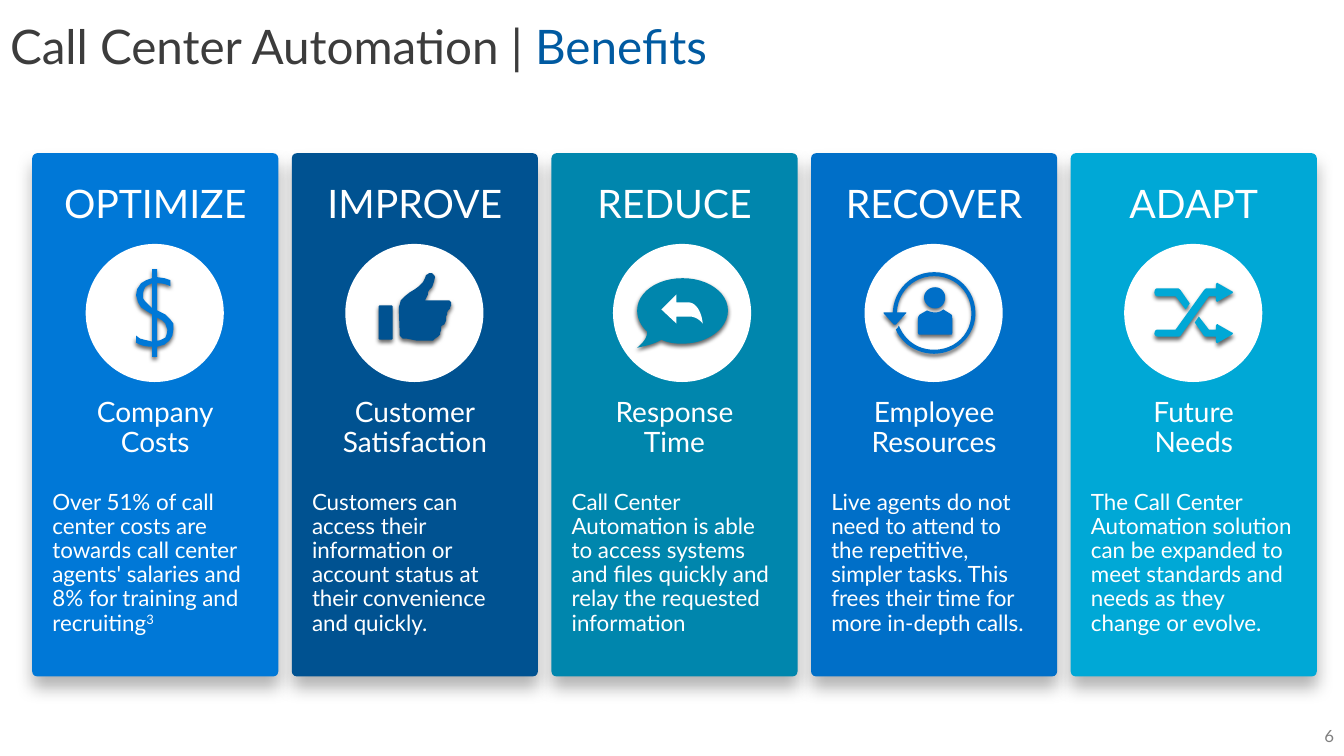
import dataclasses
import typing

import lxml.etree
import pptx
import pptx.dml.color
import pptx.enum.shapes
import pptx.enum.text
import pptx.oxml.ns
import pptx.util

COLS, ROWS = 1333, 750
CELL = pptx.util.Inches(0.01)
LEFT, TOP, SPAN = 32, 152, 1274
WIDE, HIGH = 244, 519
DISC, DISC_TOP = 137, 242
FONT = "Lato"
HUES = {
    "white": "FFFFFF", "black": "000000", "dark": "3C3C3C", "gray": "808080",
    "accent": "005AA1", "blue": "0078D7", "navy": "005291", "teal": "0086AD",
    "royal": "006FC8", "cyan": "00A8D6",
}
ALIGN = pptx.enum.text.PP_ALIGN
ANCHOR = pptx.enum.text.MSO_ANCHOR
SHAPE = pptx.enum.shapes.MSO_SHAPE


class Run(typing.NamedTuple):
    text: str
    hue: str = "white"
    raised: bool = False


class Glow(typing.NamedTuple):
    alpha: int
    blur: int
    dist: int


CARD_GLOW = Glow(30, 12, 8)
ICON_GLOW = Glow(60, 3, 2)


@dataclasses.dataclass(frozen=True)
class Mark:
    trace: str
    hue: str = ""


@dataclasses.dataclass(frozen=True)
class Card:
    hue: str
    head: str
    topic: str
    body: tuple[Run, ...]
    marks: tuple[Mark, ...]
    pad: int = 20
    shift: int = 53


DOLLAR = Mark(
    "71,112 66,112 66,102 60,102,55,101,50,98 50,91 54,94 58,95 62,96 66,97 66,70 61,67 "
    "55,63 52,58 50,51 51,45 55,39 60,36 66,34 66,25 71,25 71,33 78,34 84,36 84,42 "
    "80,40,76,39,71,39 71,66 79,70 84,75 87,79 87,85 86,91 83,96 78,100 71,102"
    "/66,39 64,40,61,41,59,43 58,45,57,47,57,50 57,54 59,57 62,60 66,64"
    "/71,96 74,96,77,94,79,93 80,91,81,88,81,85 80,82 79,79 76,76 71,73")
THUMB = Mark(
    "53,63 54,60 55,56 59,52 64,48 69,45 73,42 77,38 79,34 80,31 82,30 83,29 86,29 "
    "87,30 88,31 89,33 88,37 87,40 86,43 84,45 83,46 82,48 82,50 81,52 79,56 103,56 "
    "104,57 105,58 105,61 104,63 104,64 103,65 102,66 101,68 101,70 100,72 100,76 99,78 "
    "98,80 96,81 95,82 95,86 94,88 94,90 92,92 89,94 87,96 71,96 66,95 61,94 57,94 55,92 54,91")
CUFF = Mark("46,95 34,95 33,94 33,62 34,61 46,61 47,62 47,94")
BUBBLE = Mark(
    "69,34 44,34,24,48,24,66 24,74,28,82,34,87 34,93,30,98,24,103 33,101,42,99,48,95 "
    "54,98,61,99,69,99 94,99,114,84,114,66 114,48,94,34,69,34")
REPLY = Mark(
    "75,58 63,58 63,50 48,65 63,79 63,72 76,72 81,72,86,75,89,79 88,67,82,58,75,58", "white")
CYCLE = Mark(
    "19,69 29,80 30,80,30,80,31,80 41,69 42,68,41,68,41,68 32,68 33,47,49,32,69,32 "
    "90,32,106,48,106,69 106,89,90,105,69,105 53,105,40,96,34,81 33,83 31,85 "
    "37,99,52,109,69,109 91,109,110,91,110,69 110,46,92,28,69,28 47,28,29,45,28,68 19,68")
PERSON = Mark(
    "80,53 80,59,76,64,70,64 64,64,59,59,59,53 59,48,64,43,70,43 76,43,80,48,80,53"
    "/86,70 78,65 76,67,73,68,70,68 67,68,64,67,62,66 55,70 54,71,53,72,53,74 53,88 "
    "53,89,54,90,54,90 86,90 87,90,87,89,87,88 87,74 87,72,87,71,86,70")
SHUFFLE = Mark(
    "91,56 91,52 84,52 56,91 55,92,54,92,53,92 34,92 32,92,30,91,30,89 30,87,31,85,33,85 "
    "51,85 79,46 80,45,81,44,82,44 91,44 91,40 91,39,93,38,93,39 107,47 "
    "108,47,108,49,107,49 93,57 93,58,91,57,91,56"
    "/33,52 51,52 61,65 65,59 56,46 55,45,54,44,53,44 33,44 31,44,30,46,30,48 "
    "30,50,31,52,33,52"
    "/91,85 84,85 74,72 70,78 79,91 80,92,81,92,82,92 91,92 91,97 91,98,93,99,93,98 "
    "107,90 108,89,108,88,107,88 93,80 93,79,91,80,91,81")

CARDS = (
    Card("blue", "OPTIMIZE", "Company\nCosts",
         (Run("Over 51% of call center costs are towards call center agents' salaries "
              "and 8% for training and recruiting"), Run("3", raised=True)), (DOLLAR,)),
    Card("navy", "IMPROVE", "Customer Satisfaction",
         (Run("Customers can access their information or account status at their "
              "convenience and quickly."),), (THUMB, CUFF), pad=10),
    Card("teal", "REDUCE", "Response\nTime",
         (Run("Call Center Automation is able to access systems and files quickly and "
              "relay the requested information"),), (BUBBLE, REPLY), shift=61),
    Card("royal", "RECOVER", "Employee Resources",
         (Run("Live agents do not need to attend to the repetitive, simpler tasks. "
              "This frees their time for more in-depth calls."),), (CYCLE, PERSON), pad=10),
    Card("cyan", "ADAPT", "Future\nNeeds",
         (Run("The Call Center Automation solution can be expanded to meet standards and "
              "needs as they change or evolve."),), (SHUFFLE,)),
)


def cells(*counts: float) -> list[int]:
    return [round(count * CELL) for count in counts]


def tint(hue: str) -> pptx.dml.color.RGBColor:
    return pptx.dml.color.RGBColor.from_string(HUES[hue])


def write(frame, *runs: Run, size: int, align=ALIGN.LEFT, anchor=ANCHOR.TOP,
          line: float = 0.9, after: int = 0, pads: tuple[int, int] = (10, 5),
          grow: bool = False) -> None:
    frame.word_wrap = True
    kind = pptx.enum.text.MSO_AUTO_SIZE
    frame.auto_size = kind.SHAPE_TO_FIT_TEXT if grow else kind.NONE
    frame.vertical_anchor = anchor
    frame.margin_left = frame.margin_right = pads[0] * CELL
    frame.margin_top = frame.margin_bottom = pads[1] * CELL
    para = frame.paragraphs[0]
    para.alignment, para.line_spacing = align, line
    para.space_before, para.space_after = pptx.util.Pt(0), pptx.util.Pt(after)
    for run in runs:
        for index, words in enumerate(run.text.split("\n")):
            if index:
                para.add_line_break()
            piece = para.add_run()
            piece.text = words
            piece.font.name, piece.font.size = FONT, pptx.util.Pt(size)
            piece.font.color.rgb = tint(run.hue)
            if run.raised:
                piece.font._element.set("baseline", "30000")


def paint(shape, hue: str, glow: Glow | None = None) -> None:
    shape.fill.solid()
    shape.fill.fore_color.rgb = tint(hue)
    shape.line.fill.background()
    shape.shadow.inherit = False
    if glow:
        name = pptx.oxml.ns.qn
        effects = shape._element.spPr.find(name("a:effectLst"))
        shade = lxml.etree.SubElement(
            effects, name("a:outerShdw"), blurRad=str(pptx.util.Pt(glow.blur)),
            dist=str(pptx.util.Pt(glow.dist)), dir="5400000", algn="t", rotWithShape="0")
        color = lxml.etree.SubElement(shade, name("a:srgbClr"), val=HUES["black"])
        lxml.etree.SubElement(color, name("a:alpha"), val=str(glow.alpha * 1000))


def points(line: str, left: float, top: float) -> list[tuple[int, int]]:
    found: list[tuple[float, float]] = []
    for token in line.split():
        nums = [float(num) for num in token.split(",")]
        if len(nums) == 2:
            found.append((nums[0], nums[1]))
            continue
        ends = [found[-1], *zip(nums[::2], nums[1::2])]
        for step in range(1, 13):
            t = step / 12
            pulls = ((1 - t) ** 3, 3 * t * (1 - t) ** 2, 3 * t * t * (1 - t), t ** 3)
            found.append((sum(p * end[0] for p, end in zip(pulls, ends)),
                          sum(p * end[1] for p, end in zip(pulls, ends))))
    return [(round((left + x) * CELL), round((top + y) * CELL)) for x, y in found]


def draw_mark(shapes, mark: Mark, hue: str, left: float) -> None:
    first, *rest = [points(line, left, DISC_TOP) for line in mark.trace.split("/")]
    pen = shapes.build_freeform(*first[0])
    pen.add_line_segments(first[1:])
    for loop in rest:
        pen.move_to(*loop[0])
        pen.add_line_segments(loop[1:])
    paint(pen.convert_to_shape(), mark.hue or hue, None if mark.hue else ICON_GLOW)


def draw_card(slide, card: Card, left: float) -> None:
    shapes = slide.shapes.add_group_shape().shapes
    panel = shapes.add_shape(SHAPE.ROUNDED_RECTANGLE, *cells(left, TOP, WIDE, HIGH))
    panel.adjustments[0] = 0.02
    paint(panel, card.hue, CARD_GLOW)
    rows = (
        (167, 75, (Run(card.head),), 28, ALIGN.CENTER, 20),
        (379, 93, (Run(card.topic),), 20, ALIGN.CENTER, card.pad),
        (471, 178, card.body, 16, ALIGN.LEFT, 20),
    )
    for top, high, runs, size, align, pad in rows:
        box = shapes.add_textbox(*cells(left, top, WIDE, high))
        write(box.text_frame, *runs, size=size, align=align, after=6, pads=(pad, 16), grow=True)
    start = left + card.shift
    disc = shapes.add_shape(SHAPE.OVAL, *cells(start, DISC_TOP, DISC, DISC))
    paint(disc, "white")
    for mark in card.marks:
        draw_mark(shapes, mark, card.hue, start)


def main() -> None:
    deck = pptx.Presentation()
    deck.slide_width, deck.slide_height = cells(COLS, ROWS)
    slide = deck.slides.add_slide(deck.slide_layouts[5])
    title = slide.shapes.title
    title.left, title.top, title.width, title.height = cells(0, 0, COLS, 97)
    write(title.text_frame, Run("Call Center Automation | ", "dark"), Run("Benefits", "accent"),
          size=34, anchor=ANCHOR.MIDDLE)
    folio = slide.shapes.add_textbox(*cells(COLS - 300, 710, 300, 40))
    write(folio.text_frame, Run("6", "gray"), size=12, align=ALIGN.RIGHT,
          anchor=ANCHOR.MIDDLE, line=1.0)
    pitch = (SPAN - WIDE) / (len(CARDS) - 1)
    for index, card in enumerate(CARDS):
        draw_card(slide, card, LEFT + index * pitch)
    deck.save("out.pptx")


if __name__ == "__main__":
    main()
